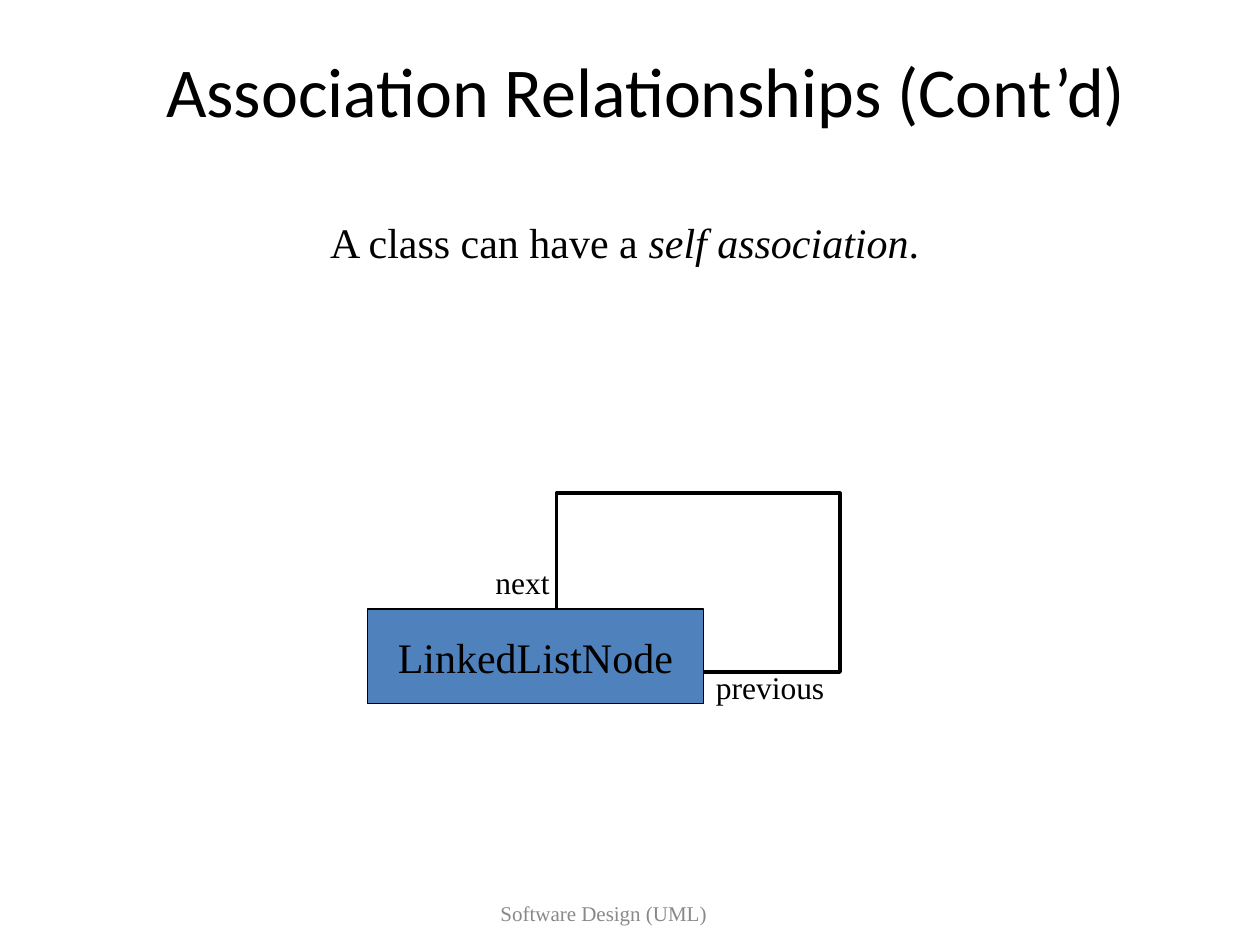
from dataclasses import dataclass

import pptx
import pptx.dml.color
import pptx.enum.shapes
import pptx.enum.text
import pptx.util

Pt = pptx.util.Pt
ANCHOR = pptx.enum.text.MSO_ANCHOR
ALIGN = pptx.enum.text.PP_ALIGN
SERIF = "Times New Roman"
COLORS = {"black": "000000", "white": "FFFFFF", "blue": "4F81BD", "grey": "898989"}


@dataclass
class Label:
    left: float
    top: float
    width: float
    height: float
    runs: tuple[tuple[str, bool], ...]  # text, italic
    size: float
    color: str = "black"
    align: ALIGN = ALIGN.CENTER
    anchor: ANCHOR = ANCHOR.TOP


@dataclass
class Box:
    left: float
    top: float
    width: float
    height: float
    fill: str
    line_width: float
    text: str = ""


SENTENCE = Label(48, 120, 618, 36, (
    ("A class can have a ", False), ("self association", True), (".", False)), 24)
FOOTER = Label(186, 504, 318, 36, (("Software Design (UML)", False),), 12,
               color="grey", anchor=ANCHOR.MIDDLE)
ROLES = (
    Label(276, 318, 48, 29, (("next", False),), 18, align=ALIGN.LEFT),
    Label(402, 378, 84, 29, (("previous", False),), 18, align=ALIGN.LEFT),
)
ASSOCIATION_LOOP = Box(318, 282, 162, 102, "white", 2.25)
CLASS_NODE = Box(210, 348, 192, 54, "blue", 0.75, "LinkedListNode")


def rgb(name: str) -> pptx.dml.color.RGBColor:
    return pptx.dml.color.RGBColor.from_string(COLORS[name])


def style_paragraph(p, size: float, color: str, align, font: str = SERIF) -> None:
    p.alignment = align
    p.font.name = font
    p.font.size = Pt(size)
    p.font.color.rgb = rgb(color)


def add_label(shapes, label: Label) -> None:
    s = shapes.add_textbox(Pt(label.left), Pt(label.top), Pt(label.width), Pt(label.height))
    tf = s.text_frame
    tf.word_wrap = True
    tf.vertical_anchor = label.anchor
    p = tf.paragraphs[0]
    for text, italic in label.runs:
        r = p.add_run()
        r.text = text
        if italic:
            r.font.italic = True
    style_paragraph(p, label.size, label.color, label.align)


def add_box(shapes, box: Box) -> None:
    s = shapes.add_shape(pptx.enum.shapes.MSO_SHAPE.RECTANGLE, Pt(box.left), Pt(box.top),
                         Pt(box.width), Pt(box.height))
    s.shadow.inherit = False
    s.fill.solid()
    s.fill.fore_color.rgb = rgb(box.fill)
    s.line.color.rgb = rgb("black")
    s.line.width = Pt(box.line_width)
    if box.text:
        tf = s.text_frame
        tf.word_wrap = False
        tf.vertical_anchor = ANCHOR.MIDDLE
        tf.text = box.text
        style_paragraph(tf.paragraphs[0], 24, "black", ALIGN.CENTER)


def set_title(title, text: str) -> None:
    title.left, title.top, title.width, title.height = Pt(48), Pt(30), Pt(642), Pt(42)
    tf = title.text_frame
    tf.text = text
    tf.vertical_anchor = ANCHOR.MIDDLE
    style_paragraph(tf.paragraphs[0], 40, "black", ALIGN.CENTER, "Calibri")


def main() -> None:
    prs = pptx.Presentation()
    prs.slide_width, prs.slide_height = Pt(720), Pt(540)
    slide = prs.slides.add_slide(prs.slide_layouts.get_by_name("Title Only"))
    set_title(slide.shapes.title, "Association Relationships (Cont’d)")
    add_label(slide.shapes, FOOTER)
    add_label(slide.shapes, SENTENCE)

    diagram = slide.shapes.add_group_shape()
    for box in (ASSOCIATION_LOOP, CLASS_NODE):
        add_box(diagram.shapes, box)
    for role in ROLES:
        add_label(diagram.shapes, role)
    prs.save("out.pptx")


if __name__ == "__main__":
    main()
